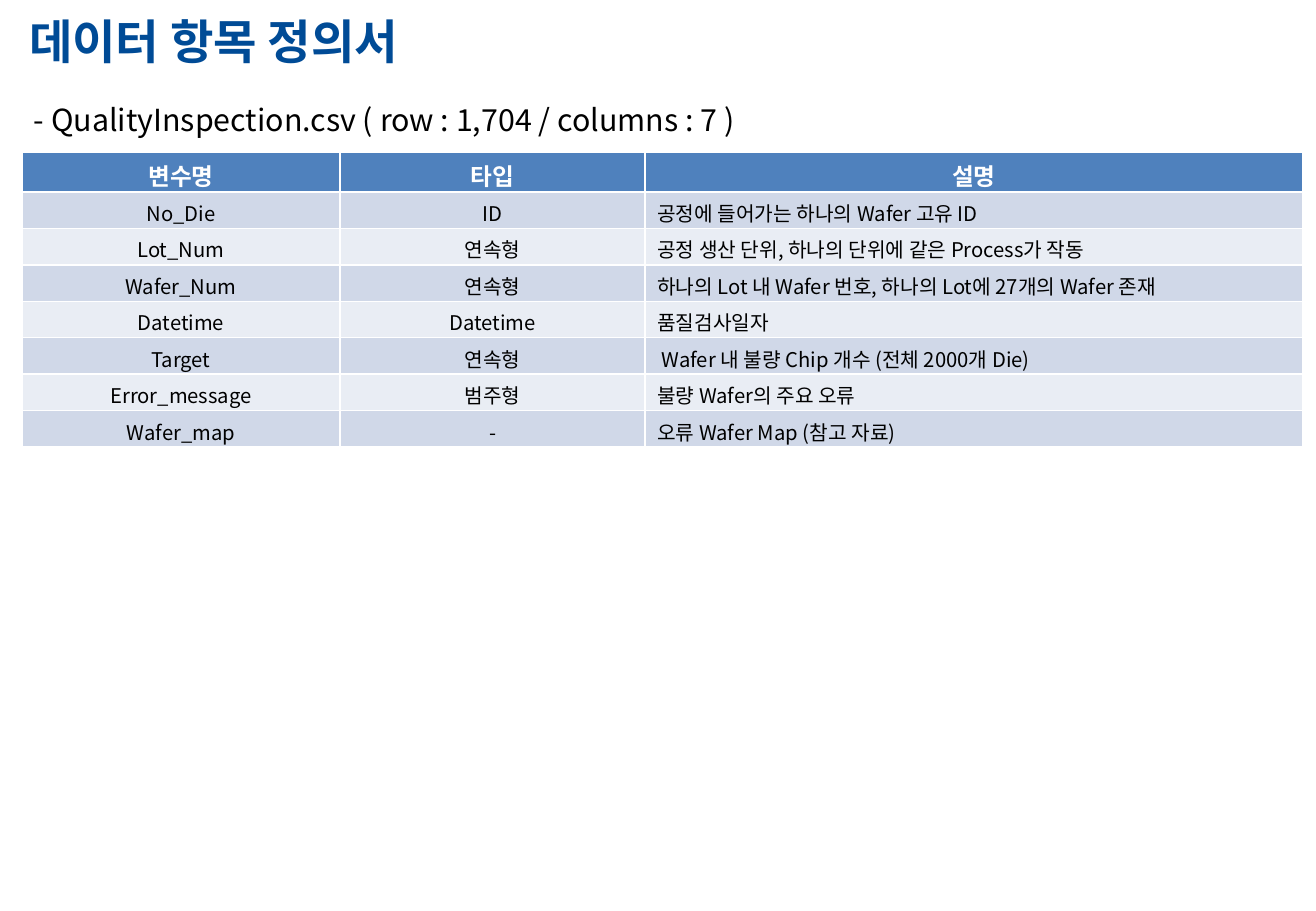
from lxml.etree import SubElement
from pptx import Presentation
from pptx.dml.color import RGBColor
from pptx.enum.text import MSO_ANCHOR, PP_ALIGN
from pptx.oxml.ns import qn
from pptx.util import Inches, Pt

FONT = "Noto Sans CJK KR"
COLORS = {
    "title": "004B96",
    "text": "000000",
    "header": "4F81BD",
    "header_text": "FFFFFF",
    "odd_row": "D0D8E8",
    "even_row": "E9EDF4",
}


def write_text(frame, text, size, color, bold=False, align=PP_ALIGN.LEFT):
    para = frame.paragraphs[0]
    para.alignment = align
    span = para.add_run()
    span.text = text
    for name, value in {"name": FONT, "size": Pt(size), "bold": bold}.items():
        setattr(span.font, name, value)
    span.font.color.rgb = RGBColor.from_string(COLORS[color])
    # Korean glyphs use the East Asian typeface
    SubElement(span.font._element, qn("a:ea"), typeface=FONT)


deck = Presentation()
deck.slide_width, deck.slide_height = Inches(10.83), Inches(7.5)
page = deck.slides.add_slide(deck.slide_layouts[5])

# Title
title = page.shapes.title
title_format = {"left": 0.14, "top": 0.05, "width": 7.25, "height": 0.57}
for name, value in title_format.items():
    setattr(title, name, Inches(value))
title.text_frame.vertical_anchor = MSO_ANCHOR.MIDDLE
write_text(title.text_frame, "데이터 항목 정의서", 28, "title", bold=True)

# File summary
summary = page.shapes.add_textbox(Inches(0.18), Inches(0.78), Inches(6.95), Inches(0.4))
summary.text_frame.word_wrap = True
write_text(summary.text_frame, "- QualityInspection.csv ( row : 1,704 / columns : 7 )", 18, "text")

# Data dictionary
records = [
    ("변수명", "타입", "설명"),
    ("No_Die", "ID", "공정에 들어가는 하나의 Wafer 고유 ID"),
    ("Lot_Num", "연속형", "공정 생산 단위, 하나의 단위에 같은 Process가 작동"),
    ("Wafer_Num", "연속형", "하나의 Lot 내 Wafer 번호, 하나의 Lot에 27개의 Wafer 존재"),
    ("Datetime", "Datetime", "품질검사일자"),
    ("Target", "연속형", " Wafer 내 불량 Chip 개수 (전체 2000개 Die)"),
    ("Error_message", "범주형", "불량 Wafer의 주요 오류"),
    ("Wafer_map", "-", "오류 Wafer Map (참고 자료)"),
]
column_widths = [2.62, 2.51, 5.41]
header_height, row_height = 0.33, 0.3

table = page.shapes.add_table(
    len(records), len(column_widths), Inches(0.18), Inches(1.25),
    Inches(sum(column_widths)), Inches(header_height + row_height * (len(records) - 1)),
).table
for column, width in zip(table.columns, column_widths):
    column.width = Inches(width)

cell_format = {
    "margin_left": Inches(0.1),
    "margin_right": Inches(0.1),
    "margin_top": Inches(0.05),
    "margin_bottom": 0,
    "vertical_anchor": MSO_ANCHOR.TOP,
}
for row_index, record in enumerate(records):
    is_header = row_index == 0
    table.rows[row_index].height = Inches(header_height if is_header else row_height)
    fill = "header" if is_header else "odd_row" if row_index % 2 else "even_row"
    for column_index, text in enumerate(record):
        cell = table.cell(row_index, column_index)
        for name, value in cell_format.items():
            setattr(cell, name, value)
        cell.fill.solid()
        cell.fill.fore_color.rgb = RGBColor.from_string(COLORS[fill])
        centred = is_header or column_index < 2
        write_text(
            cell.text_frame, text,
            size=14 if is_header else 12,
            color="header_text" if is_header else "text",
            bold=is_header,
            align=PP_ALIGN.CENTER if centred else PP_ALIGN.LEFT,
        )

deck.save("out.pptx")
